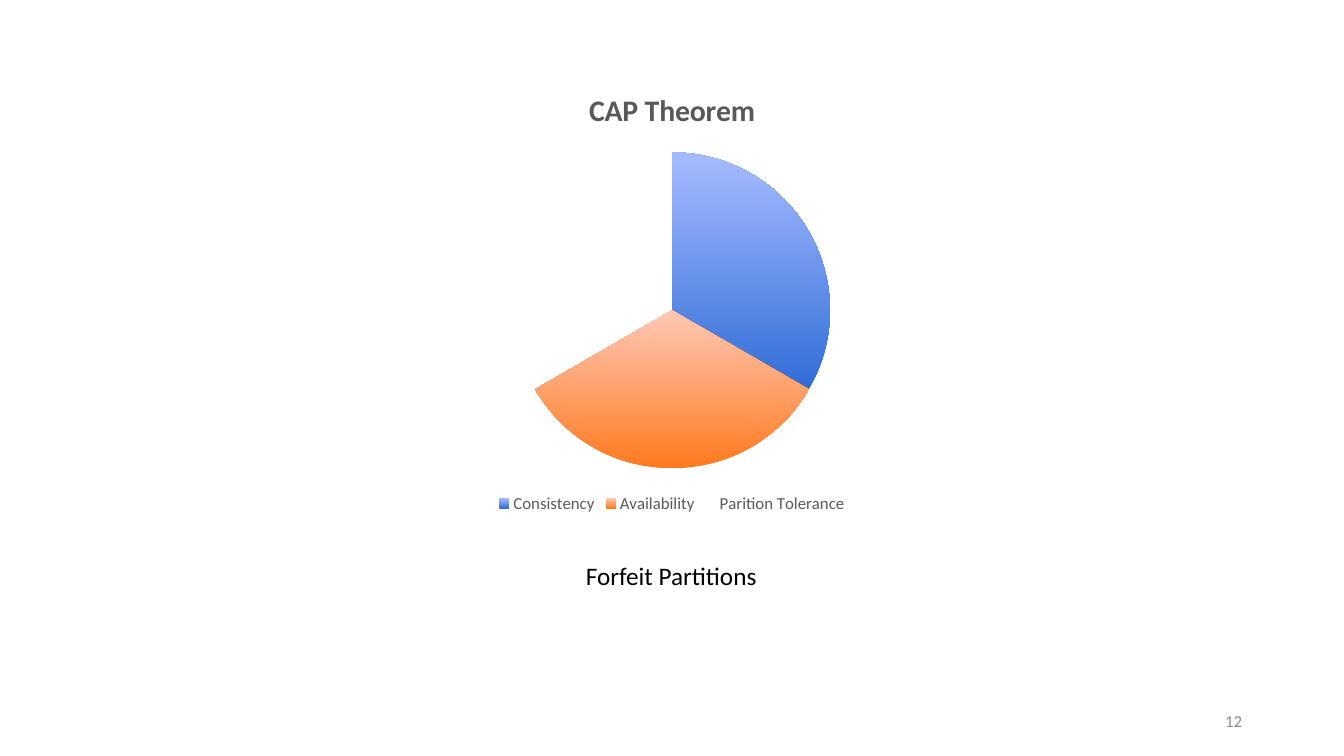
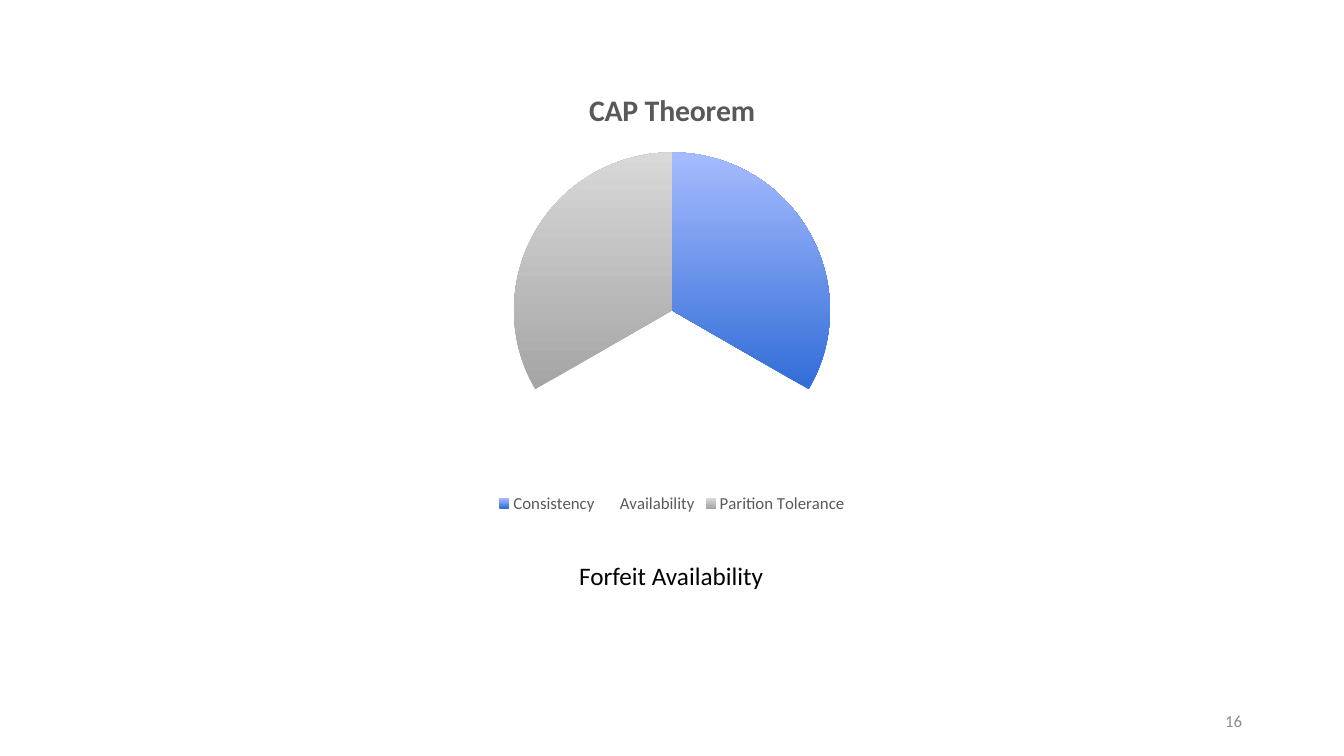
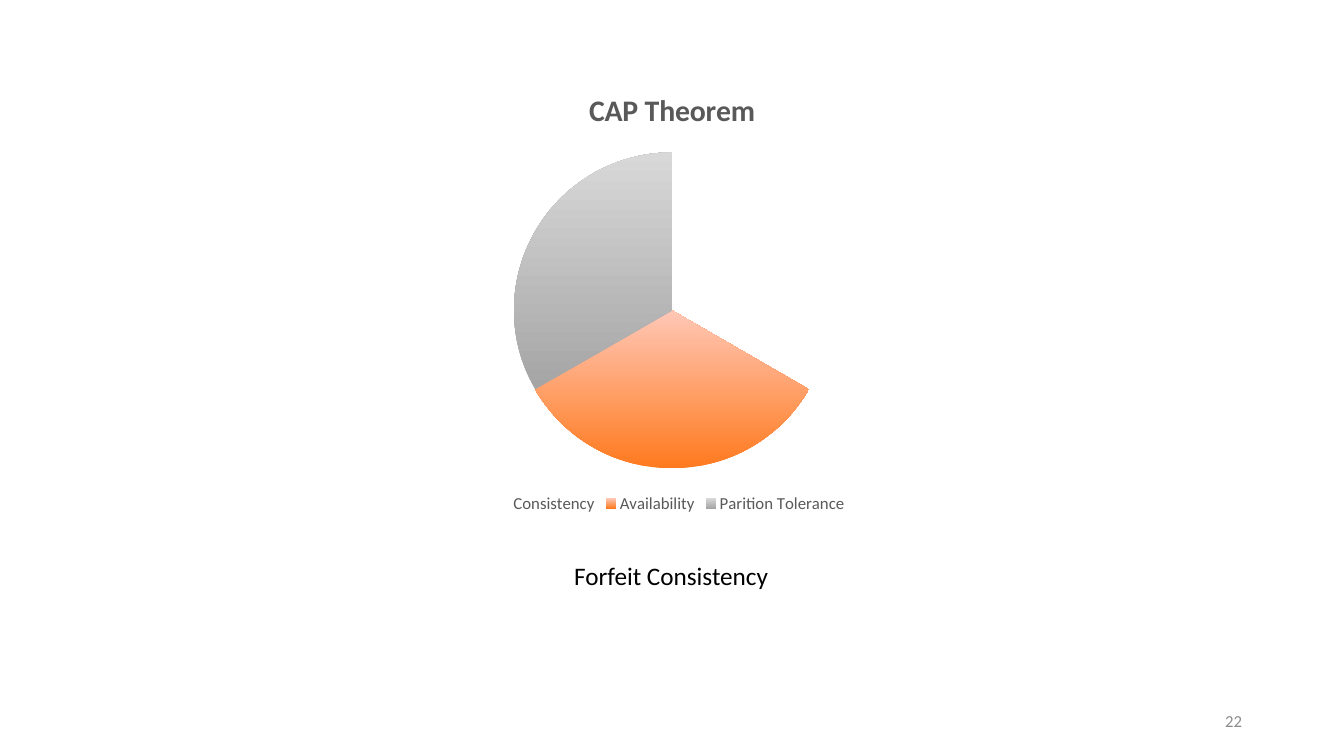
from dataclasses import dataclass

from pptx import Presentation
from pptx import util as u
from pptx.chart.data import CategoryChartData
from pptx.dml.color import RGBColor
from pptx.enum import chart as ch, text


@dataclass(frozen=True)
class Theme:
    """Colours, font and type sizes of the deck."""
    font: str = "Calibri"
    ink: str = "000000"
    muted: str = "595959"
    faint: str = "8C8C8C"
    title: float = 21.3
    body: float = 18
    small: float = 12
    base: float = 10
    slices: tuple = (("316DD7", "A6BBFF"), ("FF7A1F", "FFC7B6"), ("A5A5A5", "D8D8D8"))


class Deck:
    """Holds the theme, the grid and the current slide."""
    COLS = ROWS = 24

    def __init__(self, theme):
        """Start an empty widescreen presentation."""
        self.theme = theme
        self.prs = Presentation()
        self.prs.slide_width = u.Inches(13.33)
        self.prs.slide_height = u.Inches(7.5)

    def box(self, col, row, cols, rows):
        """Turn grid columns and rows into left, top, width and height."""
        cw, rh = self.prs.slide_width / self.COLS, self.prs.slide_height / self.ROWS
        return [round(v) for v in (col * cw, row * rh, cols * cw, rows * rh)]

    def style(self, font, size, color, bold=False):
        """Apply the theme font with a size and colour."""
        font.name, font.size, font.bold = self.theme.font, u.Pt(size), bold
        font.color.rgb = RGBColor.from_string(color)

    def slide(self, number):
        """Add a blank slide with its page number."""
        self.s = self.prs.slides.add_slide(self.prs.slide_layouts[6])
        tf = self.label(str(number), (16.96, 22.24, 5.4, 1.28), self.theme.small,
                        self.theme.faint, text.PP_ALIGN.RIGHT)
        tf.vertical_anchor = text.MSO_ANCHOR.MIDDLE

    def label(self, words, cell, size, color, align):
        """Add a one-paragraph text box and return its text frame."""
        tf = self.s.shapes.add_textbox(*self.box(*cell)).text_frame
        tf.word_wrap = True
        p = tf.paragraphs[0]
        p.text, p.alignment = words, align
        self.style(p.runs[0].font, size, color)
        return tf

    def caption(self, words):
        """Add the centred line below the chart."""
        tf = self.label(words, (6.28, 17.63, 11.41, 1.28), self.theme.body,
                        self.theme.ink, text.PP_ALIGN.CENTER)
        tf.auto_size = text.MSO_AUTO_SIZE.SHAPE_TO_FIT_TEXT

    def pie(self, title, names, values, forfeited):
        """Add a pie chart whose forfeited slice is left unfilled."""
        t = self.theme
        data = CategoryChartData()
        data.categories = names
        data.add_series(title, values)
        chart = self.s.shapes.add_chart(
            ch.XL_CHART_TYPE.PIE, *self.box(6, 2.21, 12, 14.22), data).chart
        self.style(chart.font, t.base, t.ink)
        p = chart.chart_title.text_frame.paragraphs[0]
        p.text = title
        self.style(p.runs[0].font, t.title, t.muted, bold=True)
        chart.has_legend = True
        chart.legend.position = ch.XL_LEGEND_POSITION.BOTTOM
        chart.legend.include_in_layout = False
        self.style(chart.legend.font, t.small, t.muted)
        plot = chart.plots[0]
        plot.vary_by_categories = True
        for i, (name, colors) in enumerate(zip(names, t.slices)):
            fmt = plot.series[0].points[i].format
            fmt.line.fill.background()
            if name == forfeited:
                fmt.fill.background()
            else:
                self.gradient(fmt.fill, colors)

    def gradient(self, fill, colors):
        """Fill from the bottom colour up to the top colour."""
        fill.gradient()
        fill.gradient_angle = 90
        for stop, color in zip(fill.gradient_stops, colors):
            stop.color.rgb = RGBColor.from_string(color)


def main():
    """Build one slide for each property that can be forfeited."""
    names = ("Consistency", "Availability", "Parition Tolerance")
    slides = (
        (12, "Forfeit Partitions", names[2]),
        (16, "Forfeit Availability", names[1]),
        (22, "Forfeit Consistency", names[0]),
    )
    deck = Deck(Theme())
    for number, caption, forfeited in slides:
        deck.slide(number)
        deck.pie("CAP Theorem", names, (33, 33, 33), forfeited)
        deck.caption(caption)
    deck.prs.save("out.pptx")


if __name__ == "__main__":
    main()
